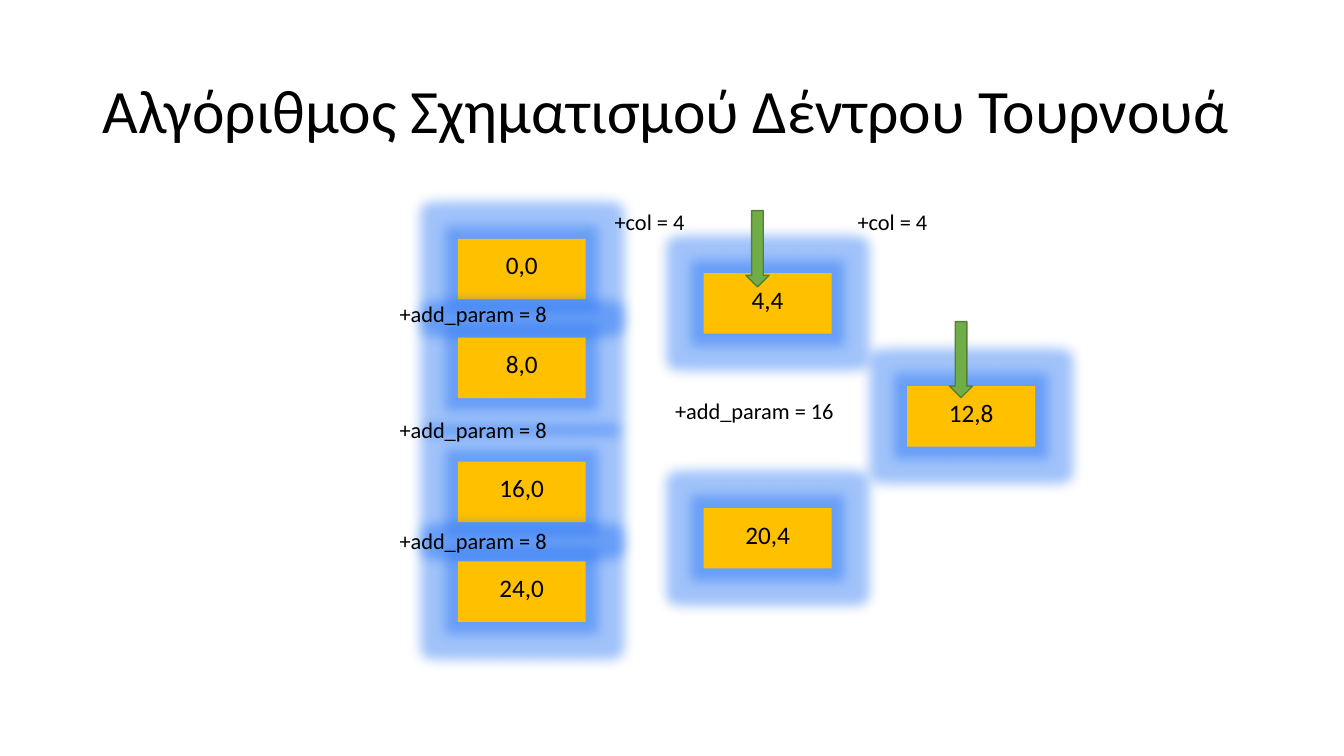
from lxml import etree
from pptx import Presentation
from pptx.dml.color import RGBColor
from pptx.enum.shapes import MSO_SHAPE
from pptx.enum.text import MSO_ANCHOR, PP_ALIGN
from pptx.oxml.ns import qn
from pptx.util import Pt

FONT = "Calibri"
NODE_WIDTH, NODE_HEIGHT = 91.4, 43.2
LABEL_HEIGHT = 46
COLUMNS = [
    (327, [("0,0", 170.6), ("8,0", 241.2), ("16,0", 329.8), ("24,0", 401)]),
    (502.6, [("4,4", 195.1), ("20,4", 362.9)]),
    (648, [("12,8", 275.8)]),
]
STEP_LABELS = [
    ("+add_param = 8", 245.5, 211, 185),
    ("+add_param = 8", 245.5, 293.8, 185),
    ("+add_param = 8", 245.5, 373, 185),
    ("+col = 4", 418.3, 145.4, 91.4),
    ("+col = 4", 591.8, 145.4, 91.4),
    ("+add_param = 16", 446.4, 280, 185),
]
ARROWS = [(532.8, 150.5), (678.2, 229.7)]


def color(hex_value):
    return RGBColor.from_string(hex_value)


def format_text(frame, size, align):
    frame.word_wrap = True
    paragraph = frame.paragraphs[0]
    paragraph.alignment = align
    font = paragraph.runs[0].font
    font.name, font.size = FONT, Pt(size)
    font.color.rgb = color("000000")


def add_title(slide, text):
    title = slide.shapes.title
    title.left, title.top, title.width, title.height = Pt(66), Pt(28.8), Pt(828), Pt(104.4)
    title.text_frame.text = text
    title.text_frame.vertical_anchor = MSO_ANCHOR.MIDDLE
    title.text_frame.paragraphs[0].line_spacing = 0.9
    format_text(title.text_frame, 44, PP_ALIGN.LEFT)


def add_label(slide, text, left, top, width, height, size):
    label = slide.shapes.add_textbox(Pt(left), Pt(top), Pt(width), Pt(height))
    label.text_frame.text = text
    format_text(label.text_frame, size, PP_ALIGN.CENTER)


def add_filled_shape(slide, kind, left, top, width, height, fill):
    shape = slide.shapes.add_shape(kind, Pt(left), Pt(top), Pt(width), Pt(height))
    shape.shadow.inherit = False
    shape.fill.solid()
    shape.fill.fore_color.rgb = color(fill)
    return shape


def add_glow(shape, hex_value, radius, opacity):
    effects = shape.element.spPr.find(qn("a:effectLst"))
    glow = etree.SubElement(effects, qn("a:glow"), rad=str(Pt(radius)))
    tint = etree.SubElement(glow, qn("a:srgbClr"), val=hex_value)
    etree.SubElement(tint, qn("a:alpha"), val=str(opacity * 1000))


def add_node(slide, text, left, top):
    """Add one glowing tree node with its index pair."""
    node = add_filled_shape(slide, MSO_SHAPE.RECTANGLE, left, top,
                            NODE_WIDTH, NODE_HEIGHT, "FFC000")
    node.line.fill.background()
    add_glow(node, "1469F4", 18, 40)
    add_label(slide, text, left, top + 4.2, NODE_WIDTH, 29, 18)


def add_down_arrow(slide, left, top):
    arrow = add_filled_shape(slide, MSO_SHAPE.DOWN_ARROW, left, top, 16.6, 54.4, "70AD47")
    arrow.line.color.rgb = color("538035")
    arrow.line.width = Pt(1)


def main():
    deck = Presentation()
    deck.slide_width, deck.slide_height = Pt(960), Pt(540)
    slide = deck.slides.add_slide(deck.slide_layouts[5])
    add_title(slide, "Αλγόριθμος Σχηματισμού Δέντρου Τουρνουά")
    for left, nodes in COLUMNS:
        for text, top in nodes:
            add_node(slide, text, left, top)
    for text, left, top, width in STEP_LABELS:
        add_label(slide, text, left, top, width, LABEL_HEIGHT, 16)
    for left, top in ARROWS:
        add_down_arrow(slide, left, top)
    deck.save("out.pptx")


if __name__ == "__main__":
    main()
